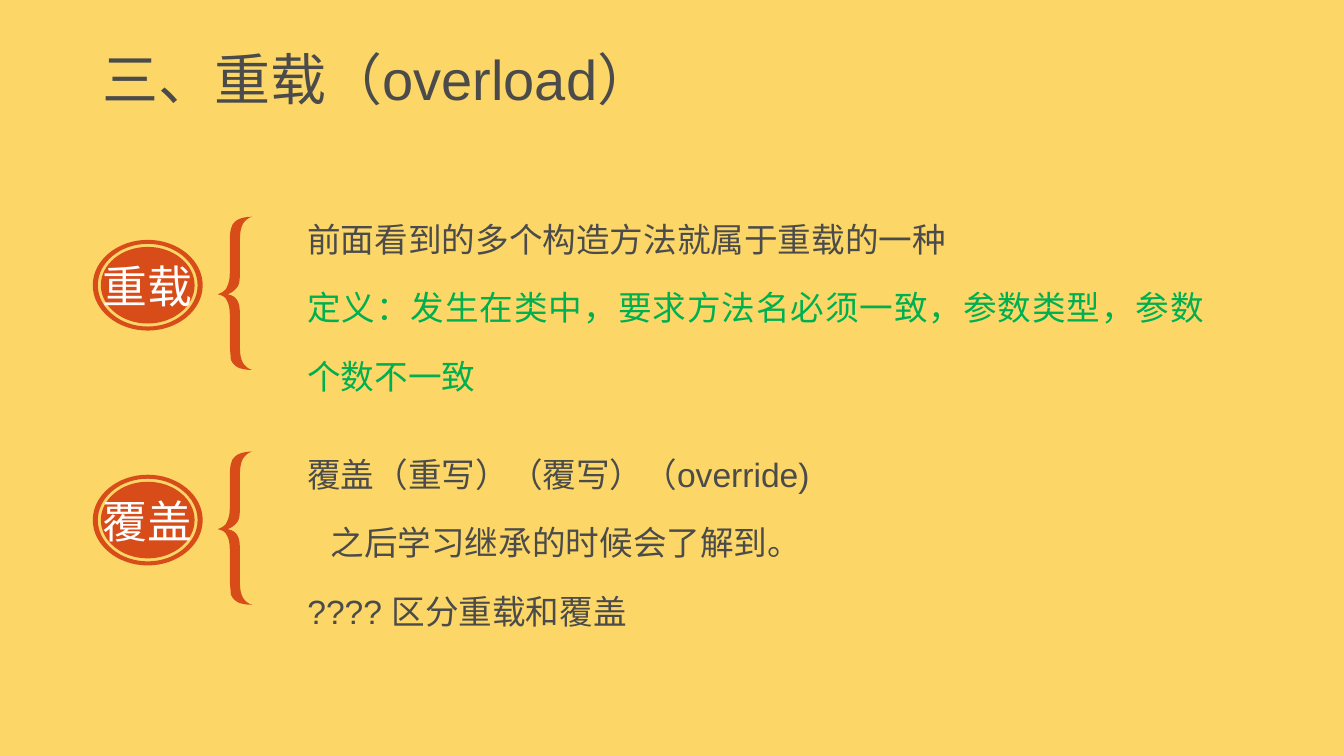
from lxml.etree import SubElement
from pptx import Presentation
from pptx.dml.color import RGBColor
from pptx.enum.text import MSO_ANCHOR, PP_ALIGN
from pptx.oxml.ns import qn
from pptx.util import Pt

PX = 9144
SIZE = (1333, 750)
SAND, RUST, GREY, GREEN, WHITE = "FCD767", "D74C19", "4B4B4B", "00B050", "FFFFFF"

TITLE = "三、重载（overload）"
# label, then lines of (text, colour, indent)
TOPICS = [
    ("重载", [
        ("前面看到的多个构造方法就属于重载的一种", GREY, 0),
        ("定义：发生在类中，要求方法名必须一致，参数类型，参数个数不一致", GREEN, 0),
    ]),
    ("覆盖", [
        ("覆盖（重写）（覆写）（override)", GREY, 0),
        ("之后学习继承的时候会了解到。", GREY, 23),
        ("???? 区分重载和覆盖", GREY, 0),
    ]),
]

PITCH = 233
TITLE_BOX = (92, 33, 911, 98)
BODY_BOX = (295, 182, 909, 218)
BRACE_BOX = (216, 215, 34, 152)
BADGE_BOX = (92, 238, 109, 90)
RING_GAPS = [(8, 7), (5, 4), (0, 0)]
ARC = 0.55

# Each step holds one end point, or two control points and an end point.
BRACE = [
    [(22, 22)],
    [(22, 16), (23, 11), (25, 7)], [(27, 4), (30, 1), (34, 0)],
    [(26, 0), (20, 2), (17, 5)], [(13, 8), (12, 15), (12, 25)],
    [(12, 56)],
    [(12, 62), (11, 66), (9, 70)], [(8, 73), (5, 75), (0, 77)],
    [(5, 78), (8, 80), (9, 83)], [(11, 86), (12, 91), (12, 97)],
    [(12, 126)],
    [(12, 133), (13, 138), (13, 142)], [(15, 146), (17, 148), (21, 150)],
    [(24, 151), (28, 152), (34, 152)], [(30, 151), (27, 148), (25, 145)],
    [(23, 141), (22, 137), (22, 130)],
    [(22, 101)],
    [(22, 93), (22, 88), (20, 84)], [(18, 80), (15, 78), (10, 77)],
    [(15, 75), (18, 72), (20, 69)], [(22, 66), (22, 60), (22, 53)],
]


def rgb(code):
    return RGBColor.from_string(code)


def style(obj, **values):
    for name, value in values.items():
        setattr(obj, name, value)


def oval(width, height, gap_x, gap_y):
    """Give the four arcs of an ellipse set in from the sides of a box."""
    mid_x, mid_y = width / 2, height / 2
    rad_x, rad_y = mid_x - gap_x, mid_y - gap_y
    turns = [
        [(0, -1)],
        [(ARC, -1), (1, -ARC), (1, 0)], [(1, ARC), (ARC, 1), (0, 1)],
        [(-ARC, 1), (-1, ARC), (-1, 0)], [(-1, -ARC), (-ARC, -1), (0, -1)],
    ]
    return [[(mid_x + x * rad_x, mid_y + y * rad_y) for x, y in turn]
            for turn in turns]


def draw(slide, box, loops):
    """Draw closed loops of lines and curves as one filled outline."""
    left, top, width, height = (n * PX for n in box)
    pen = slide.shapes.build_freeform(left, top)
    pen.add_line_segments([(left + width, top), (left + width, top + height)])
    shape = pen.convert_to_shape()
    shape.shadow.inherit = False
    shape.fill.solid()
    shape.fill.fore_color.rgb = rgb(RUST)
    shape.line.fill.background()

    track = next(shape._element.iter(qn("a:path")))
    for child in list(track):
        track.remove(child)
    for loop in loops:
        for i, step in enumerate(loop):
            kind = "cubicBezTo" if len(step) == 3 else "lnTo" if i else "moveTo"
            part = SubElement(track, qn("a:" + kind))
            for x, y in step:
                SubElement(part, qn("a:pt"), x=str(round(x * PX)), y=str(round(y * PX)))
        SubElement(track, qn("a:close"))
    return shape


def write(frame, lines, size, **form):
    style(frame, word_wrap=True, vertical_anchor=MSO_ANCHOR.MIDDLE)
    for i, (text, colour, indent) in enumerate(lines):
        para = frame.add_paragraph() if i else frame.paragraphs[0]
        style(para, **form)
        if indent:
            para._p.get_or_add_pPr().set("marL", str(indent * PX))
        run = para.add_run()
        run.text = text
        style(run.font, name="Arial", size=Pt(size))
        run.font.color.rgb = rgb(colour)


def add_text(slide, box, *args, **form):
    area = slide.shapes.add_textbox(*(n * PX for n in box))
    write(area.text_frame, *args, **form)


def add_topic(slide, label, lines, drop):
    body, brace, badge = (
        (left, top + drop, width, height)
        for left, top, width, height in (BODY_BOX, BRACE_BOX, BADGE_BOX))
    add_text(slide, body, lines, 24, alignment=PP_ALIGN.JUSTIFY, line_spacing=1.7)
    draw(slide, brace, [BRACE])
    disc = draw(slide, badge, [oval(*badge[2:], *gap) for gap in RING_GAPS])
    style(disc.text_frame, margin_left=0, margin_right=0)
    write(disc.text_frame, [(label, WHITE, 0)], 32, alignment=PP_ALIGN.CENTER)


def main():
    deck = Presentation()
    deck.slide_width, deck.slide_height = (n * PX for n in SIZE)
    slide = deck.slides.add_slide(deck.slide_layouts[6])
    slide.background.fill.solid()
    slide.background.fill.fore_color.rgb = rgb(SAND)

    add_text(slide, TITLE_BOX, [(TITLE, GREY, 0)], 40, line_spacing=0.9)
    for i, (label, lines) in enumerate(TOPICS):
        add_topic(slide, label, lines, i * PITCH)
    deck.save("out.pptx")


if __name__ == "__main__":
    main()
